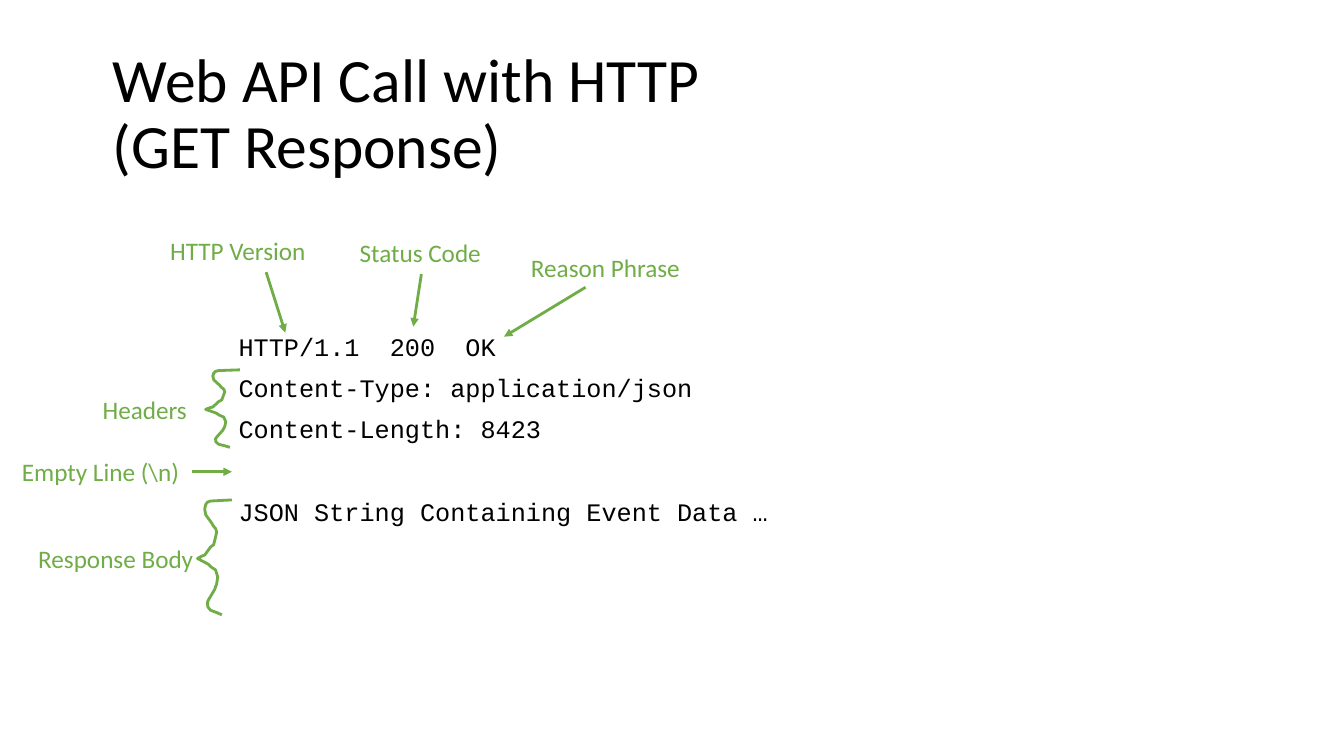
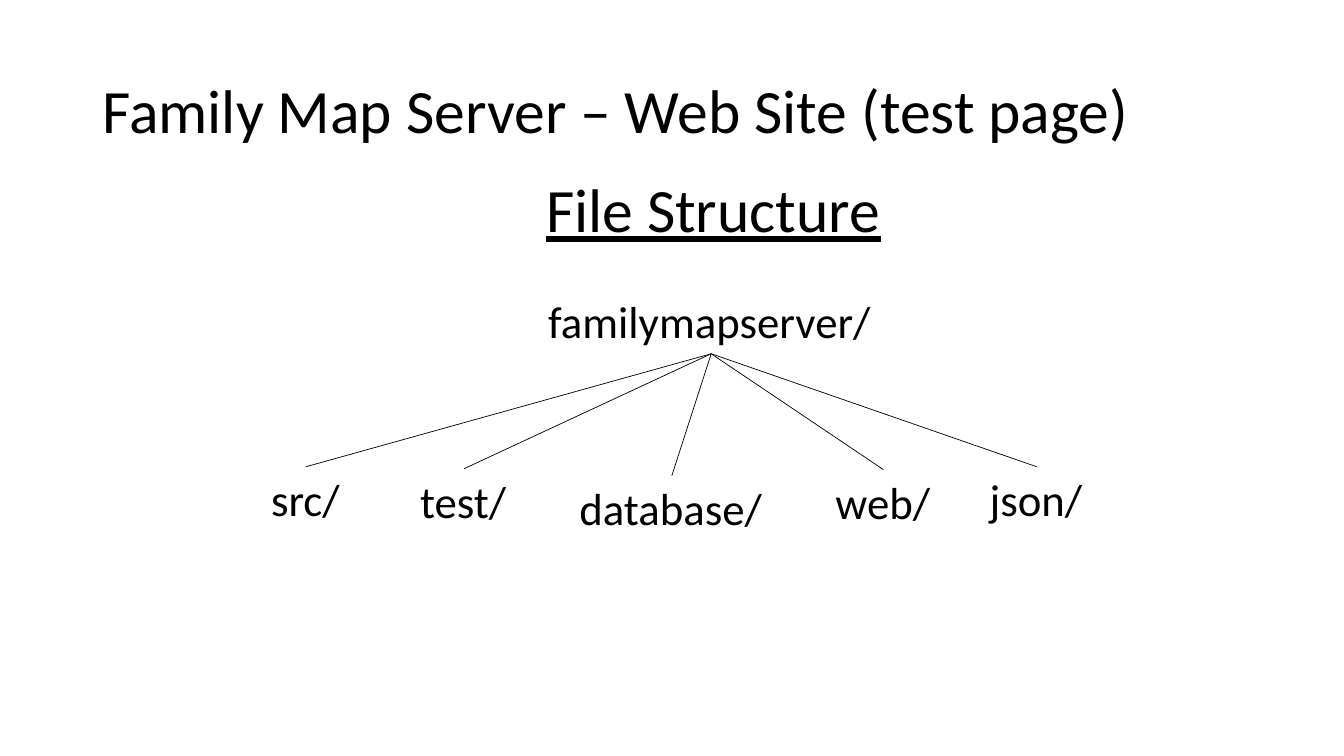
from lxml import etree
from pptx import Presentation
from pptx.dml.color import RGBColor
from pptx.enum.shapes import MSO_CONNECTOR
from pptx.enum.text import MSO_ANCHOR
from pptx.oxml.ns import qn
from pptx.util import Pt

STRAIGHT = MSO_CONNECTOR.STRAIGHT
MIDDLE = MSO_ANCHOR.MIDDLE

BLACK = RGBColor(0x00, 0x00, 0x00)
GREEN = RGBColor(0x70, 0xAD, 0x47)
SANS = "Calibri"
MONO = "Courier New"

TITLE_SIZE = 44
NODE_SIZE = 32
BODY_SIZE = 18
LABEL_HEIGHT = 28.8
NODE_HEIGHT = 46.1
LINE_SPACING = 0.9
PARAGRAPH_GAP = 10
EMPTY_LINE_GAP = 39.5

# Outline of a hand-drawn left brace, in percent of its width and height
BRACE = [
    (100, 0), (38, 1), (29, 2), (24, 4), (21, 8), (24, 13), (29, 15),
    (41, 20), (47, 23), (53, 25), (56, 28), (53, 32), (47, 39), (38, 41),
    (26, 46), (21, 48), (12, 49), (0, 51), (32, 56), (38, 58), (53, 61),
    (59, 67), (56, 73), (50, 78), (38, 84), (32, 87), (29, 89), (30, 93),
    (38, 96), (56, 98), (71, 100),
]

# text, left, top, width
LABELS = [
    ("HTTP Version", 114.5, 164.9, 112.3),
    ("Status Code", 249.8, 166.3, 102.2),
    ("Reason Phrase", 372.2, 176.4, 121.7),
    ("Headers", 66.2, 277.9, 75.6),
    ("Empty Line (\\n)", 8.6, 322.6, 128.2),
    ("Response Body", 20.2, 384.5, 126.7),
]
ARROWS = [
    ((190.1, 194.4), (203.8, 237.6)),
    ((301, 195.8), (295.2, 233.3)),
    ((418.3, 205.2), (360, 240.5)),
    ((137.5, 337), (165.6, 337)),
]
RESPONSE = [
    ("HTTP/1.1  200  OK", 0),
    ("Content-Type: application/json", PARAGRAPH_GAP),
    ("Content-Length: 8423", PARAGRAPH_GAP),
    ("JSON String Containing Event Data …", EMPTY_LINE_GAP),
]
FOLDERS = [
    ("src/", 186.5, 333.4, 64.1),
    ("test/", 293, 334.8, 77),
    ("database/", 406.8, 339.8, 146.2),
    ("web/", 589.7, 335.5, 82.8),
    ("json/", 699.8, 333.4, 81.4),
]


def style_runs(p, size, color=BLACK, font=SANS):
    for r in p.runs:
        r.font.name = font
        r.font.size = Pt(size)
        r.font.color.rgb = color


def add_frame(s, left, top, width, height, wrap=True):
    tf = s.shapes.add_textbox(Pt(left), Pt(top), Pt(width), Pt(height)).text_frame
    tf.word_wrap = wrap
    return tf


def add_title(s, text, left, top):
    tf = add_frame(s, left, top, 828, 104.4)
    tf.vertical_anchor = MIDDLE
    p = tf.paragraphs[0]
    p.text = text
    p.line_spacing = LINE_SPACING
    style_runs(p, TITLE_SIZE)


def add_label(s, text, left, top, width, height, size, color=BLACK):
    """Add one unwrapped line of text and return its paragraph."""
    p = add_frame(s, left, top, width, height, wrap=False).paragraphs[0]
    p.text = text
    style_runs(p, size, color)
    return p


def add_code(s, lines, left, top, width, height):
    tf = add_frame(s, left, top, width, height)
    tf.text = "\n".join(text for text, _ in lines)
    for p, (_, gap) in zip(tf.paragraphs, lines):
        p.line_spacing = LINE_SPACING
        p.space_before = Pt(gap)
        style_runs(p, BODY_SIZE, font=MONO)


def add_line(s, start, end, color, weight, arrow=False):
    points = [Pt(v) for v in (*start, *end)]
    line = s.shapes.add_connector(STRAIGHT, *points)
    line.line.color.rgb = color
    line.line.width = Pt(weight)
    if arrow:
        etree.SubElement(line.line._get_or_add_ln(), qn("a:tailEnd"), type="triangle")
    etree.SubElement(line._element.spPr, qn("a:effectLst"))


def add_brace(s, left, top, width, height):
    points = [(Pt(left + width * x / 100), Pt(top + height * y / 100))
              for x, y in BRACE]
    builder = s.shapes.build_freeform(*points[0])
    builder.add_line_segments(points[1:], close=False)
    brace = builder.convert_to_shape()
    brace.shadow.inherit = False
    brace.fill.background()
    brace.line.color.rgb = GREEN
    brace.line.width = Pt(2)


def build_response_slide(s):
    add_title(s, "Web API Call with HTTP \v(GET Response)", 73.4, 30.2)
    add_code(s, RESPONSE, 163.4, 235.4, 501.1, 232.6)
    for text, left, top, width in LABELS:
        add_label(s, text, left, top, width, LABEL_HEIGHT, BODY_SIZE, GREEN)
    for start, end in ARROWS:
        add_line(s, start, end, GREEN, 2, arrow=True)
    add_brace(s, 146.9, 264.2, 24.5, 55.4)
    add_brace(s, 141.1, 357.1, 24.5, 82.1)


def build_files_slide(s):
    add_title(s, "Family Map Server – Web Site (test page)", 66.2, 28.8)
    heading = add_label(s, "File Structure", 383, 118.8, 255.6, 60.5, TITLE_SIZE)
    heading.runs[0].font.underline = True

    left, top, width = 384.5, 206.6, 247
    add_label(s, "familymapserver/", left, top, width, NODE_HEIGHT, NODE_SIZE)
    root = (left + width / 2, top + NODE_HEIGHT)
    for text, left, top, width in FOLDERS:
        add_label(s, text, left, top, width, NODE_HEIGHT, NODE_SIZE)
        add_line(s, root, (left + width / 2, top), BLACK, 0.5)


def main():
    prs = Presentation()
    prs.slide_width = Pt(960)
    prs.slide_height = Pt(540)
    blank = prs.slide_layouts[6]
    for build in (build_response_slide, build_files_slide):
        build(prs.slides.add_slide(blank))
    prs.save("out.pptx")


if __name__ == "__main__":
    main()
